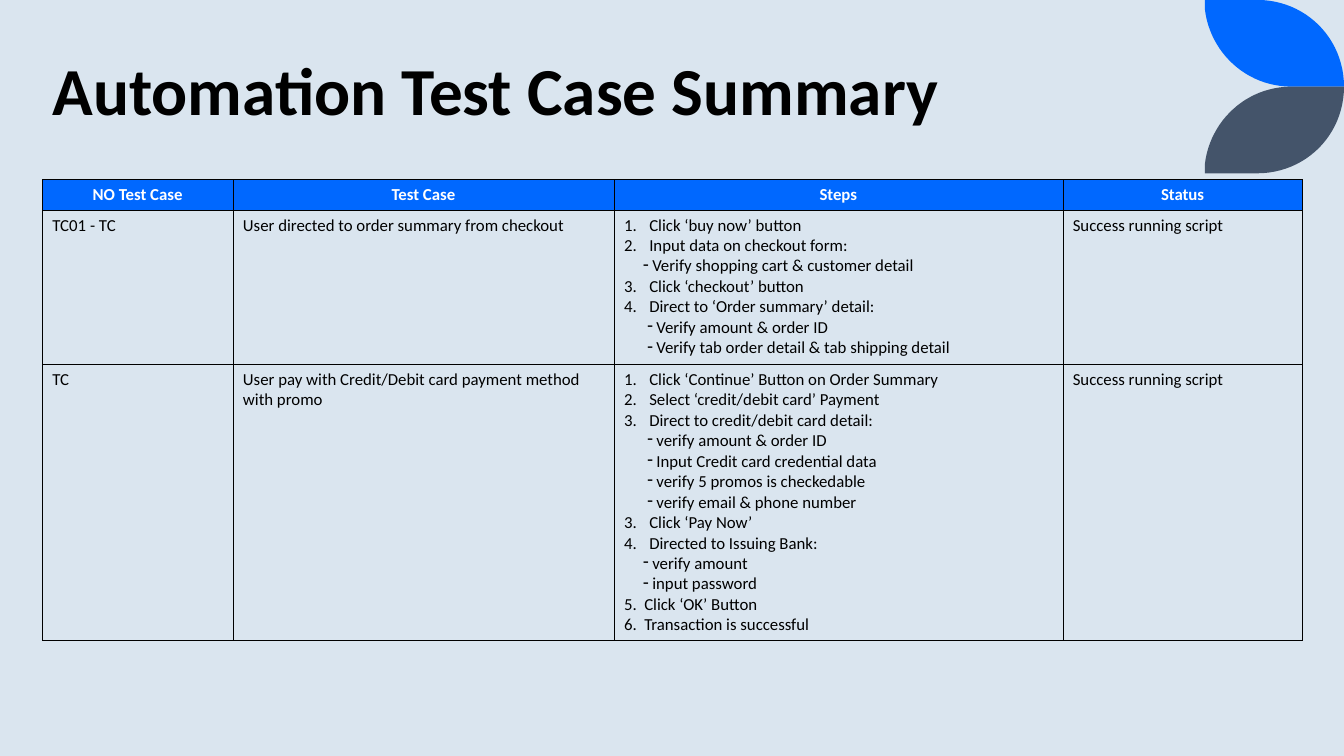
from lxml.etree import SubElement
from pptx import Presentation
from pptx.dml.color import RGBColor
from pptx.enum.text import MSO_ANCHOR, MSO_AUTO_SIZE, PP_ALIGN
from pptx.oxml.ns import qn
from pptx.util import Inches, Pt

COLORS = {"background": "DAE5EF", "blue": "0068FF", "slate": "44546A",
          "text": "000000", "header text": "FFFFFF"}
FONT = "Calibri"

# List styles: left indent and hanging indent in inches
NUMBER, TIGHT_NUMBER = (0.25, 0.25), (0.2, 0.2)
DASH, DEEP_DASH = (0.28, 0.09), (0.32, 0.09)

HEADERS = ["NO Test Case", "Test Case", "Steps", "Status"]
COLUMN_WIDTHS = [1.89, 3.78, 4.45, 2.38]
ROW_HEIGHTS = [0.3, 1.53, 2.74]

# Each step: list style, first number of its list (None for a dash), wording
CHECKOUT_STEPS = [
    (NUMBER, 1, "Click ‘buy now’ button"),
    (NUMBER, 1, "Input data on checkout form:"),
    (DASH, None, "Verify shopping cart & customer detail"),
    (NUMBER, 3, "Click ‘checkout’ button"),
    (NUMBER, 3, "Direct to ‘Order summary’ detail:"),
    (DEEP_DASH, None, "Verify amount & order ID"),
    (DEEP_DASH, None, "Verify tab order detail & tab shipping detail"),
]
PAYMENT_STEPS = [
    (NUMBER, 1, "Click ‘Continue’ Button on Order Summary"),
    (NUMBER, 1, "Select ‘credit/debit card’ Payment"),
    (NUMBER, 1, "Direct to credit/debit card detail:"),
    (DEEP_DASH, None, "verify amount & order ID"),
    (DEEP_DASH, None, "Input Credit card credential data"),
    (DEEP_DASH, None, "verify 5 promos is checkedable"),
    (DEEP_DASH, None, "verify email & phone number"),
    (NUMBER, 3, "Click ‘Pay Now’"),
    (NUMBER, 3, "Directed to Issuing Bank:"),
    (DASH, None, "verify amount"),
    (DASH, None, "input password"),
    (TIGHT_NUMBER, 5, "Click ‘OK’ Button"),
    (TIGHT_NUMBER, 5, "Transaction is successful"),
]
TEST_CASES = [
    ("TC01 - TC", "User directed to order summary from checkout",
     CHECKOUT_STEPS, "Success running script"),
    ("TC", "User pay with Credit/Debit card payment method with promo",
     PAYMENT_STEPS, "Success running script"),
]


def style_text(para, size, color, bold):
    for span in para.runs:
        span.font.name = FONT
        span.font.size = Pt(size)
        span.font.bold = bold
        span.font.color.rgb = RGBColor.from_string(COLORS[color])


def curve_points(start, control_1, control_2, end, count=24):
    points = []
    for step in range(1, count + 1):
        t = step / count
        weights = ((1 - t) ** 3, 3 * t * (1 - t) ** 2, 3 * t * t * (1 - t), t ** 3)
        corners = (start, control_1, control_2, end)
        points.append(tuple(sum(w * c[axis] for w, c in zip(weights, corners))
                            for axis in (0, 1)))
    return points


deck = Presentation()
deck.slide_width, deck.slide_height = Inches(13.33), Inches(7.5)
page = deck.slides.add_slide(deck.slide_layouts[5])
page.background.fill.solid()
page.background.fill.fore_color.rgb = RGBColor.from_string(COLORS["background"])

# Corner leaves: the lower one mirrors the upper one
leaf_outline = ([(12.47, 0)]
                + curve_points((12.47, 0), (12.95, 0), (13.33, 0.38), (13.33, 0.86))
                + [(12.81, 0.86)]
                + curve_points((12.81, 0.86), (12.36, 0.86), (12, 0.52), (11.95, 0.09)))
for color, mirrored in (("blue", False), ("slate", True)):
    outline = [(x, 1.72 - y if mirrored else y) for x, y in leaf_outline]
    builder = page.shapes.build_freeform(
        Inches(11.95), Inches(1.72 if mirrored else 0), scale=1.0)
    builder.add_line_segments([(Inches(x), Inches(y)) for x, y in outline], close=True)
    leaf = builder.convert_to_shape()
    leaf.shadow.inherit = False
    leaf.fill.solid()
    leaf.fill.fore_color.rgb = RGBColor.from_string(COLORS[color])
    leaf.line.fill.background()

# Title
title = page.shapes.title
title.left, title.top = Inches(0.42), Inches(0.29)
title.width, title.height = Inches(11.55), Inches(1.05)
frame = title.text_frame
frame.text = "Automation Test Case Summary"
frame.word_wrap = True
frame.auto_size = MSO_AUTO_SIZE.NONE
frame.vertical_anchor = MSO_ANCHOR.BOTTOM
frame.paragraphs[0].alignment = PP_ALIGN.LEFT
frame.paragraphs[0].line_spacing = 0.9
style_text(frame.paragraphs[0], 48, "text", True)

# Table grid
table = page.shapes.add_table(
    len(ROW_HEIGHTS), len(COLUMN_WIDTHS), Inches(0.42), Inches(1.78),
    Inches(sum(COLUMN_WIDTHS)), Inches(sum(ROW_HEIGHTS))).table
table.first_row = table.horz_banding = False
for column, width in zip(table.columns, COLUMN_WIDTHS):
    column.width = Inches(width)
for row, height in zip(table.rows, ROW_HEIGHTS):
    row.height = Inches(height)

# Table contents
for row_index, contents in enumerate([HEADERS] + TEST_CASES):
    is_header = row_index == 0
    for column_index, content in enumerate(contents):
        cell = table.cell(row_index, column_index)
        steps = content if isinstance(content, list) else []
        cell.text_frame.text = "\n".join(step[2] for step in steps) or content

        # Numbers and dashes
        for para, ((left, hanging), start, _) in zip(cell.text_frame.paragraphs, steps):
            properties = para._p.get_or_add_pPr()
            properties.set("marL", str(Inches(left)))
            properties.set("indent", str(-Inches(hanging)))
            if start is None:
                SubElement(properties, qn("a:buChar"), char="-")
            else:
                SubElement(properties, qn("a:buAutoNum"),
                           type="arabicPeriod", startAt=str(start))

        for para in cell.text_frame.paragraphs:
            para.alignment = PP_ALIGN.CENTER if is_header else PP_ALIGN.LEFT
            style_text(para, 12, "header text" if is_header else "text", is_header)

        # Borders come before the fill in the cell properties
        cell_properties = cell._tc.get_or_add_tcPr()
        for side in ("lnL", "lnR", "lnT", "lnB"):
            border = SubElement(cell_properties, qn(f"a:{side}"), w=str(Pt(0.25)))
            border_fill = SubElement(border, qn("a:solidFill"))
            SubElement(border_fill, qn("a:srgbClr"), val=COLORS["text"])
        if is_header:
            cell.fill.solid()
            cell.fill.fore_color.rgb = RGBColor.from_string(COLORS["blue"])
        else:
            cell.fill.background()

deck.save("out.pptx")
